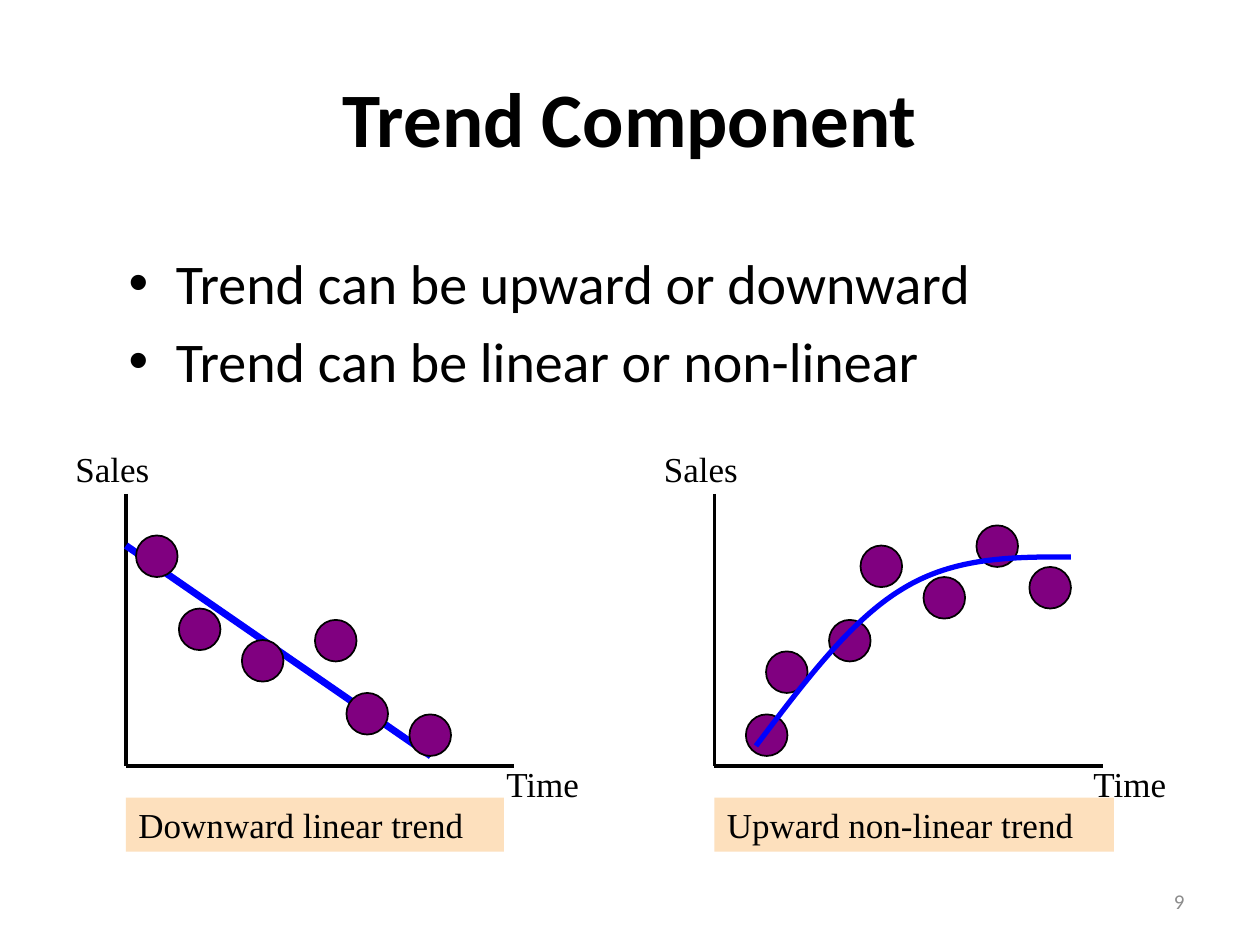
from dataclasses import dataclass

from lxml.etree import SubElement
from pptx import Presentation
from pptx.dml.color import RGBColor
from pptx.enum.shapes import MSO_CONNECTOR, MSO_SHAPE
from pptx.enum.text import MSO_ANCHOR, PP_ALIGN
from pptx.oxml.ns import qn
from pptx.util import Inches, Pt

BLACK, BLUE, PURPLE, PEACH, GRAY = "000000", "0000FF", "800080", "FDE0BD", "8C8C8C"
SERIF, SANS = "Times New Roman", "Calibri"
DOT_SIZE = 0.33
AXIS_TOP, AXIS_BOTTOM, AXIS_LENGTH = 3.92, 6.08, 3.08

Point = tuple[float, float]


@dataclass
class TrendGraph:
    """One sketch of sales over time; dots give their top left corners."""
    caption: str
    caption_width: float
    axis_left: float
    time_left: float
    dots: list[Point]


DOWNWARD = TrendGraph(
    "Downward linear trend", 3, 1, 3.92,
    [(1.08, 4.25), (1.42, 4.83), (2.75, 5.5), (2.5, 4.92), (1.92, 5.08), (3.25, 5.67)])
UPWARD = TrendGraph(
    "Upward non-linear trend", 3.17, 5.67, 8.58,
    [(5.92, 5.67), (6.08, 5.17), (7.33, 4.58), (6.83, 4.33), (6.58, 4.92),
     (7.75, 4.17), (8.17, 4.5)])
UPWARD_CURVE = [(6, 5.92), (6.38, 5.42), (6.75, 4.92), (7.17, 4.67),
                (7.58, 4.42), (8.04, 4.42), (8.5, 4.42)]

presentation = Presentation()
presentation.slide_width, presentation.slide_height = Inches(10), Inches(7.5)
slide = presentation.slides.add_slide(presentation.slide_layouts[1])
shapes = slide.shapes


def color(hex_value: str) -> RGBColor:
    """Turn a hex string into a colour."""
    return RGBColor.from_string(hex_value)


def place(shape, left: float, top: float, width: float, height: float) -> None:
    """Move and size a shape, in inches."""
    shape.left, shape.top = Inches(left), Inches(top)
    shape.width, shape.height = Inches(width), Inches(height)


def add_run(paragraph, text: str, size: float, font: str,
            hex_value: str = BLACK, bold: bool = False) -> None:
    """Append one formatted run."""
    run = paragraph.add_run()
    run.text = text
    run.font.size, run.font.name, run.font.bold = Pt(size), font, bold
    run.font.color.rgb = color(hex_value)


def add_label(text: str, left: float, top: float, width: float,
              fill: str | None = None) -> None:
    """Add a graph label, with a fill if one is given."""
    label = shapes.add_textbox(Inches(left), Inches(top), Inches(width), Inches(0.43))
    label.text_frame.word_wrap = True
    if fill:
        label.fill.solid()
        label.fill.fore_color.rgb = color(fill)
    add_run(label.text_frame.paragraphs[0], text, 20, SERIF)


def add_line(start: Point, end: Point, hex_value: str, width: float) -> None:
    """Draw a straight line without a shadow."""
    line = shapes.add_connector(MSO_CONNECTOR.STRAIGHT,
                                *(Inches(value) for value in start + end))
    line.line.color.rgb = color(hex_value)
    line.line.width = Pt(width)
    SubElement(line._element.spPr, qn("a:effectLst"))


def add_axes(graph: TrendGraph) -> None:
    """Draw the caption, axes and axis labels of a graph."""
    left = graph.axis_left
    origin = (left, AXIS_BOTTOM)
    add_label(graph.caption, left, 6.33, graph.caption_width, PEACH)
    add_line((left, AXIS_TOP), origin, BLACK, 2)
    add_line(origin, (left + AXIS_LENGTH, AXIS_BOTTOM), BLACK, 2)
    add_label("Sales", left - 0.5, 3.5, 1.08)
    add_label("Time", graph.time_left, 6, 1.08)


def add_dots(graph: TrendGraph) -> None:
    """Draw the observations of a graph."""
    for left, top in graph.dots:
        dot = shapes.add_shape(MSO_SHAPE.OVAL, Inches(left), Inches(top),
                               Inches(DOT_SIZE), Inches(DOT_SIZE))
        dot.shadow.inherit = False
        dot.fill.solid()
        dot.fill.fore_color.rgb = color(PURPLE)
        dot.line.color.rgb = color(BLACK)
        dot.line.width = Pt(1)


def add_curve(points: list[Point], hex_value: str, width: float) -> None:
    """Draw a Bezier curve: a start, then two controls and an end per segment."""
    start, *rest = [(Inches(x), Inches(y)) for x, y in points]
    builder = shapes.build_freeform(*start)
    builder.add_line_segments(rest, close=False)
    curve = builder.convert_to_shape()
    curve.shadow.inherit = False
    curve.fill.background()
    curve.line.color.rgb = color(hex_value)
    curve.line.width = Pt(width)
    outline = next(curve._element.iter(qn("a:path")))
    segments = outline.findall(qn("a:lnTo"))
    for first in range(0, len(segments), 3):
        bezier = SubElement(outline, qn("a:cubicBezTo"))
        for segment in segments[first:first + 3]:
            bezier.append(segment[0])
            outline.remove(segment)


title = shapes.title
place(title, 0.5, 0.3, 9, 1.25)
title.text_frame.vertical_anchor = MSO_ANCHOR.MIDDLE
title.text_frame.paragraphs[0].alignment = PP_ALIGN.CENTER
add_run(title.text_frame.paragraphs[0], "Trend Component", 44, SANS, bold=True)

statements = slide.placeholders[1]
place(statements, 0.92, 1.92, 8.33, 1.47)
for index, statement in enumerate(("Trend can be upward or downward",
                                   "Trend can be linear or non-linear")):
    frame = statements.text_frame
    paragraph = frame.add_paragraph() if index else frame.paragraphs[0]
    add_run(paragraph, statement, 32, SANS)

add_axes(DOWNWARD)
add_line((1, 4.33), (3.42, 6), BLUE, 4)
add_dots(DOWNWARD)

add_axes(UPWARD)
add_dots(UPWARD)
add_curve(UPWARD_CURVE, BLUE, 3)

page_number = shapes.add_textbox(Inches(7.17), Inches(6.95), Inches(2.33), Inches(0.4))
page_number.text_frame.word_wrap = True
page_number.text_frame.vertical_anchor = MSO_ANCHOR.MIDDLE
page_number.text_frame.paragraphs[0].alignment = PP_ALIGN.RIGHT
add_run(page_number.text_frame.paragraphs[0], "9", 12, SANS, GRAY)

presentation.save("out.pptx")
